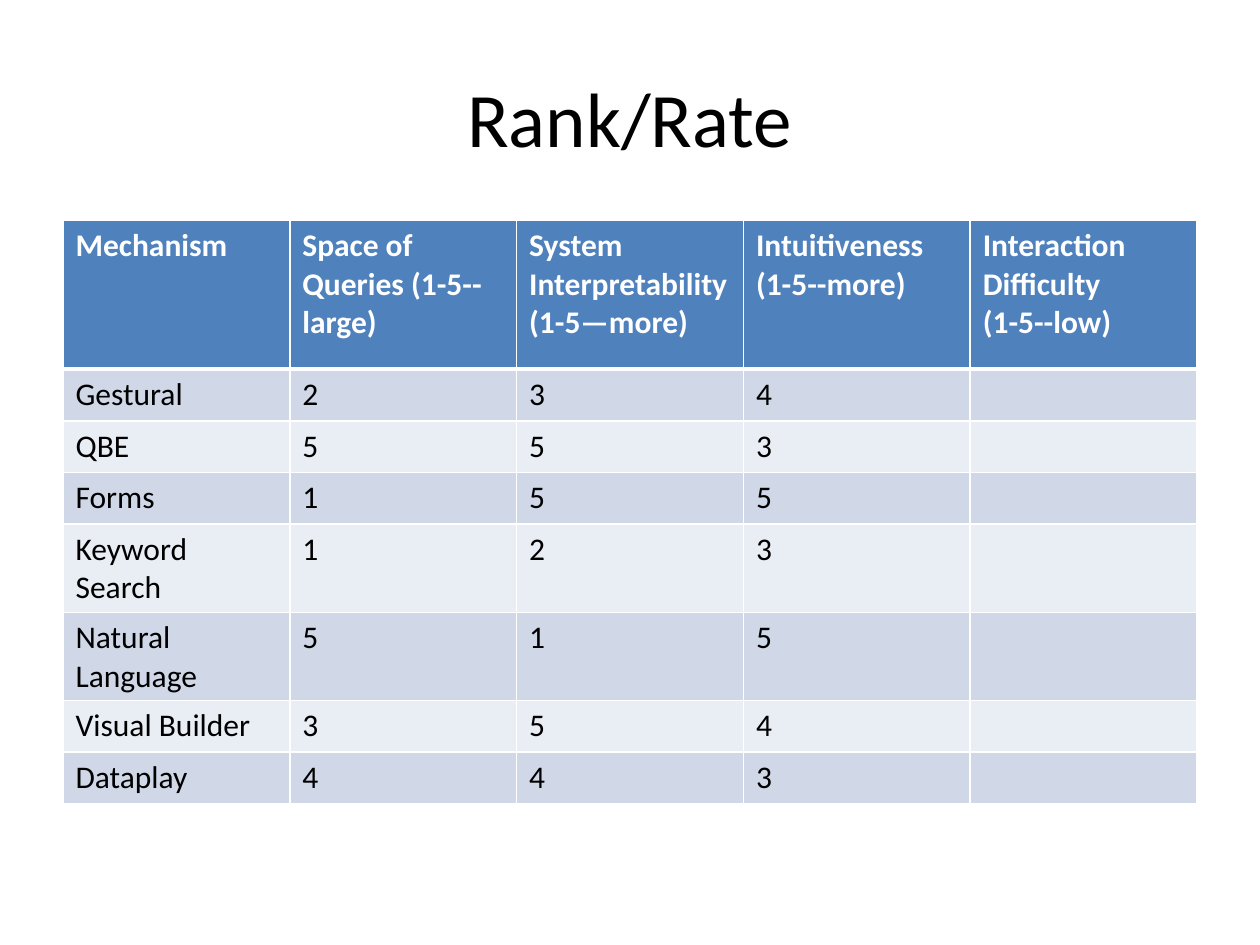
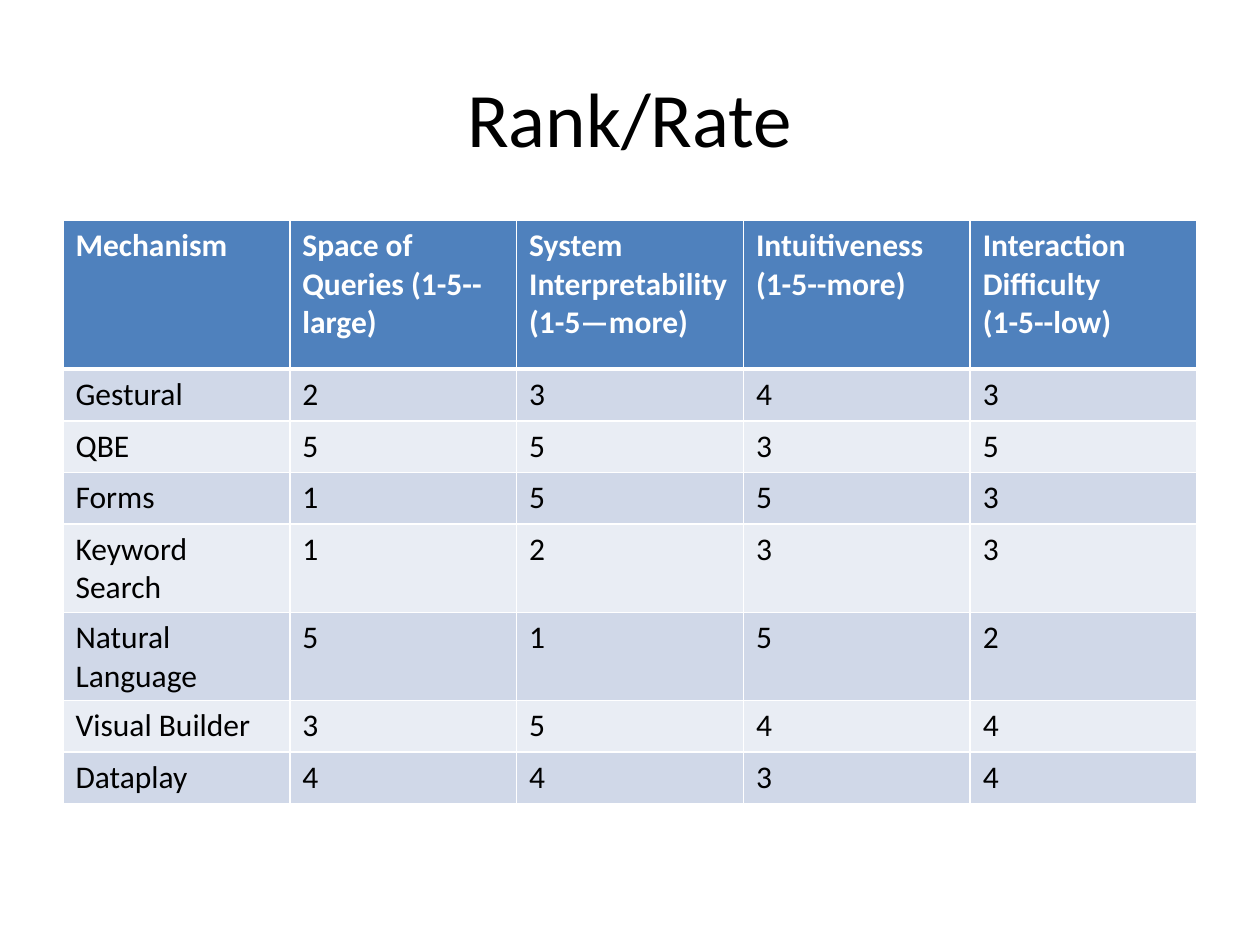
from lxml.etree import SubElement
from pptx import Presentation
from pptx.dml.color import RGBColor
from pptx.enum.text import MSO_ANCHOR as Anchor, PP_ALIGN as Align
from pptx.oxml.ns import qn
from pptx.util import Inches, Pt

COLORS = {
    "text": "000000",
    "header_text": "FFFFFF",
    "header": "4F81BD",
    "odd_row": "D0D8E8",
    "even_row": "E9EDF4",
    "border": "FFFFFF",
}
FONT = "Calibri"
COLUMN, ROW = Inches(10) / 20, Inches(7.5) / 150
TITLE_BOX = (1, 6, 18, 25)
TABLE_BOX = (1, 35, 18, 92.2)
HEADER_ROWS, BODY_ROWS = 23.6, 8.2
THIN, THICK = 1, 3

HEADINGS = [
    ["Mechanism"],
    ["Space of Queries (1-5--large)"],
    ["System Interpretability (1-5—more)"],
    ["Intuitiveness", "(1-5--more)"],
    ["Interaction Difficulty", "(1-5--low)"],
]
RATINGS = {
    "Gestural": "234",
    "QBE": "553",
    "Forms": "155",
    "Keyword Search": "123",
    "Natural Language": "515",
    "Visual Builder": "354",
    "Dataplay": "443",
}
DIFFICULTIES = "3533244"


def place(box):
    """Turn a box in grid columns and rows into slide lengths."""
    left, top, width, height = box
    return (round(left * COLUMN), round(top * ROW),
            round(width * COLUMN), round(height * ROW))


def write(text_frame, lines, size, color, bold=False, align=Align.LEFT):
    """Write each line as a paragraph with one styled run."""
    for index, line in enumerate(lines):
        paragraph = text_frame.add_paragraph() if index else text_frame.paragraphs[0]
        paragraph.alignment = align
        run = paragraph.add_run()
        run.text = line
        run.font.name, run.font.size, run.font.bold = FONT, Pt(size), bold
        run.font.color.rgb = RGBColor.from_string(COLORS[color])


def add_title(slide, box, title):
    """Add the centred slide title."""
    text_frame = slide.shapes.add_textbox(*place(box)).text_frame
    text_frame.word_wrap = True
    text_frame.vertical_anchor = Anchor.MIDDLE
    write(text_frame, [title], 44, "text", align=Align.CENTER)


def add_borders(cell, top, bottom):
    """Draw the four cell borders with the given top and bottom widths."""
    properties = cell._tc.get_or_add_tcPr()
    for side, width in {"L": THIN, "R": THIN, "T": top, "B": bottom}.items():
        line = SubElement(properties, qn(f"a:ln{side}"), w=str(Pt(width)))
        fill = SubElement(line, qn("a:solidFill"))
        SubElement(fill, qn("a:srgbClr"), val=COLORS["border"])


def style_cell(cell, row_index):
    """Give a cell the borders and fill of its row."""
    add_borders(cell, THICK if row_index == 1 else THIN,
                THICK if row_index == 0 else THIN)
    fill = "header" if row_index == 0 else ("even_row", "odd_row")[row_index % 2]
    cell.fill.solid()
    cell.fill.fore_color.rgb = RGBColor.from_string(COLORS[fill])


def add_rating_table(slide, box, difficulties):
    """Add the table of mechanisms, with difficulties where they are known."""
    rows = [HEADINGS]
    for (mechanism, ratings), difficulty in zip(RATINGS.items(), difficulties):
        rows.append([[mechanism], *([rating] for rating in ratings),
                     [difficulty] if difficulty else []])
    left, top, width, height = place(box)
    frame = slide.shapes.add_table(len(rows), len(HEADINGS), left, top, width, height)
    table = frame.table
    for row_index, row in enumerate(rows):
        is_header = row_index == 0
        table.rows[row_index].height = round((HEADER_ROWS if is_header else BODY_ROWS) * ROW)
        for column_index, lines in enumerate(row):
            cell = table.cell(row_index, column_index)
            style_cell(cell, row_index)
            write(cell.text_frame, lines, 18,
                  "header_text" if is_header else "text", is_header)
    frame.height = height


def add_rating_slide(presentation, difficulties):
    """Add one slide with the title and the rating table."""
    slide = presentation.slides.add_slide(presentation.slide_layouts[6])
    add_title(slide, TITLE_BOX, "Rank/Rate")
    add_rating_table(slide, TABLE_BOX, difficulties)


def main():
    """Build and save the presentation."""
    presentation = Presentation()
    presentation.slide_width, presentation.slide_height = Inches(10), Inches(7.5)
    for difficulties in ([""] * len(RATINGS), DIFFICULTIES):
        add_rating_slide(presentation, difficulties)
    presentation.save("out.pptx")


if __name__ == "__main__":
    main()
